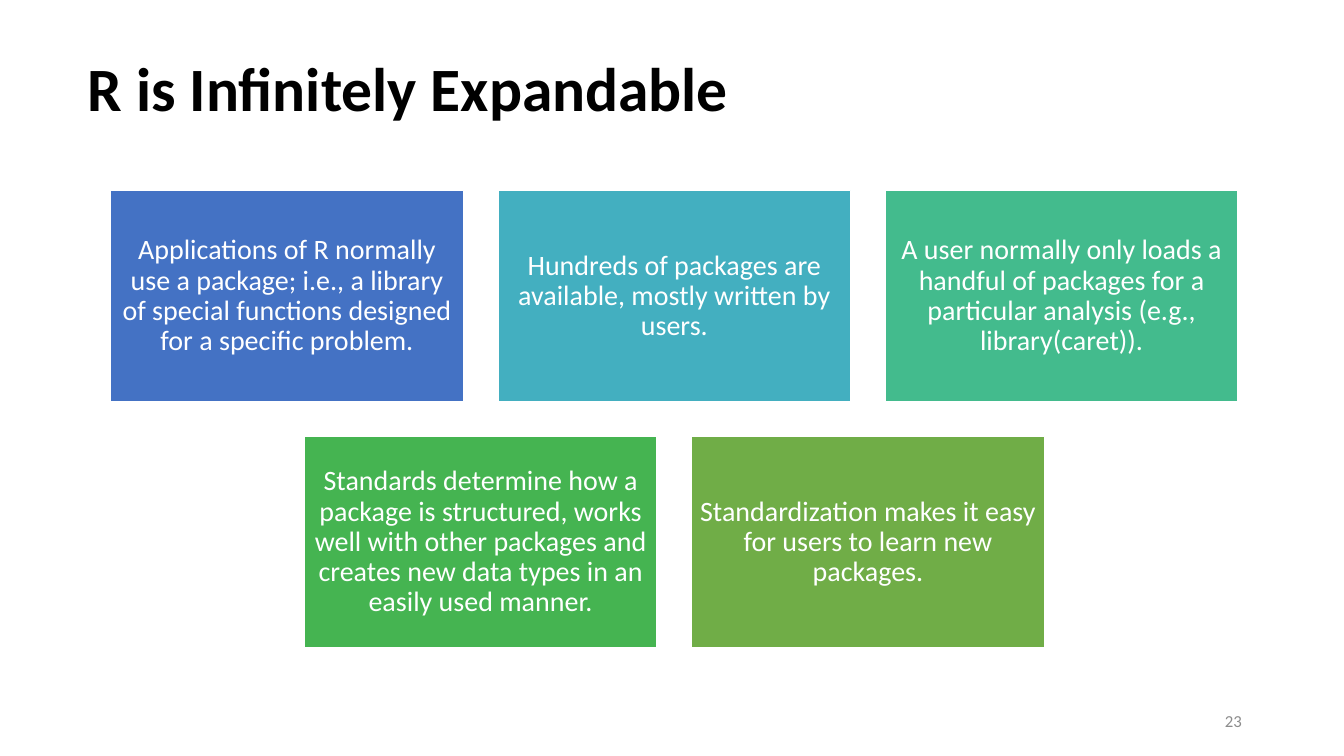
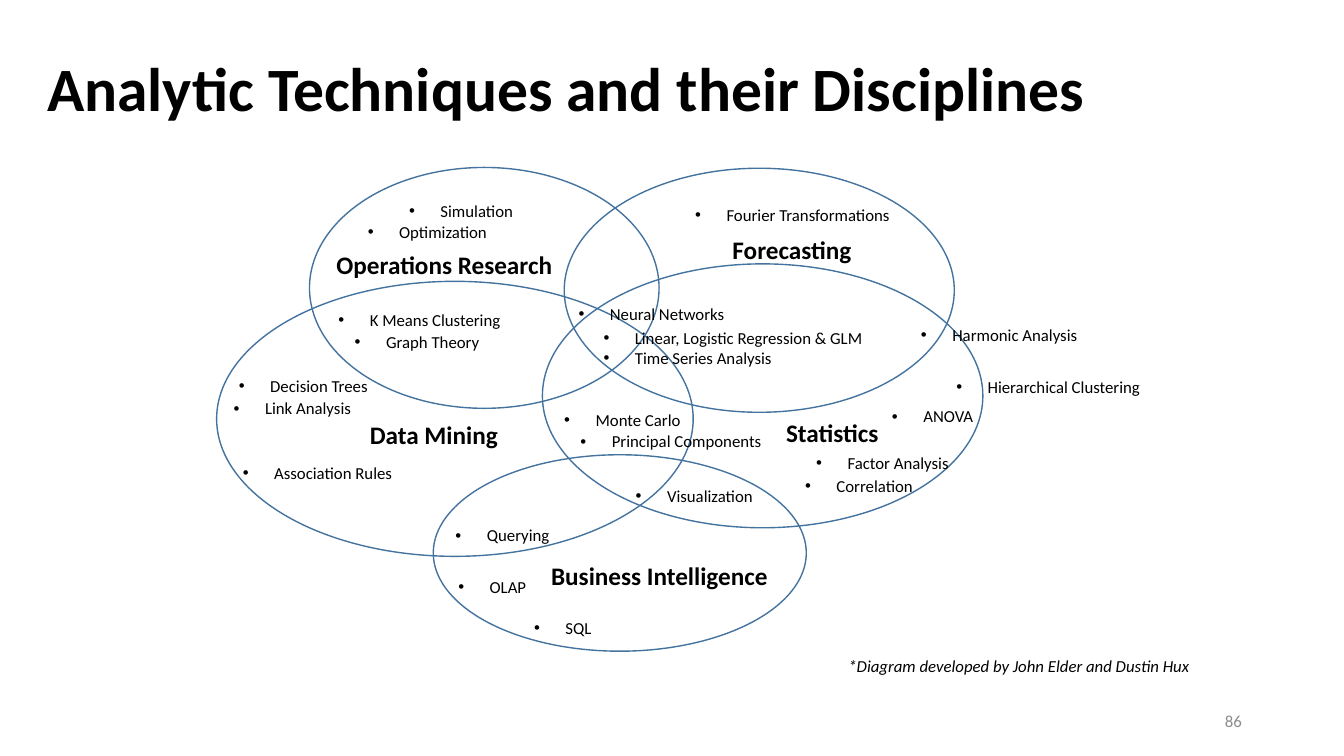
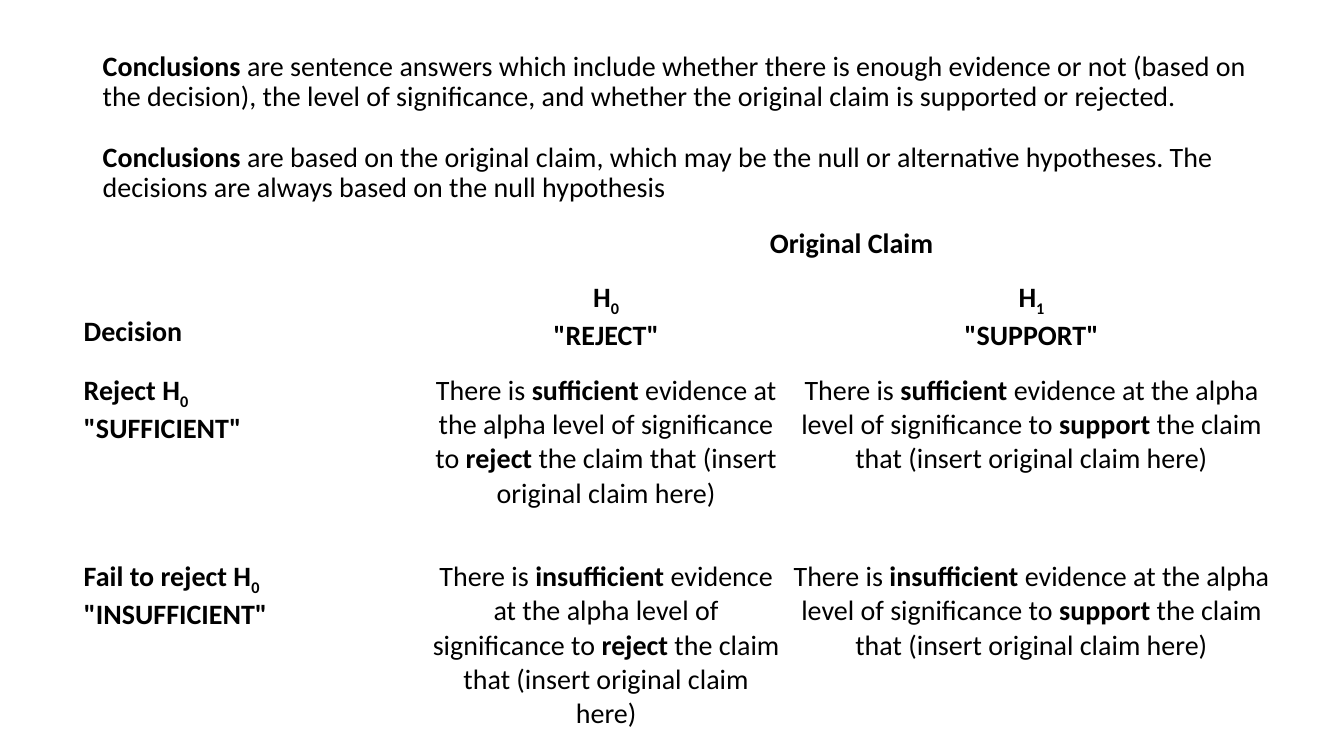
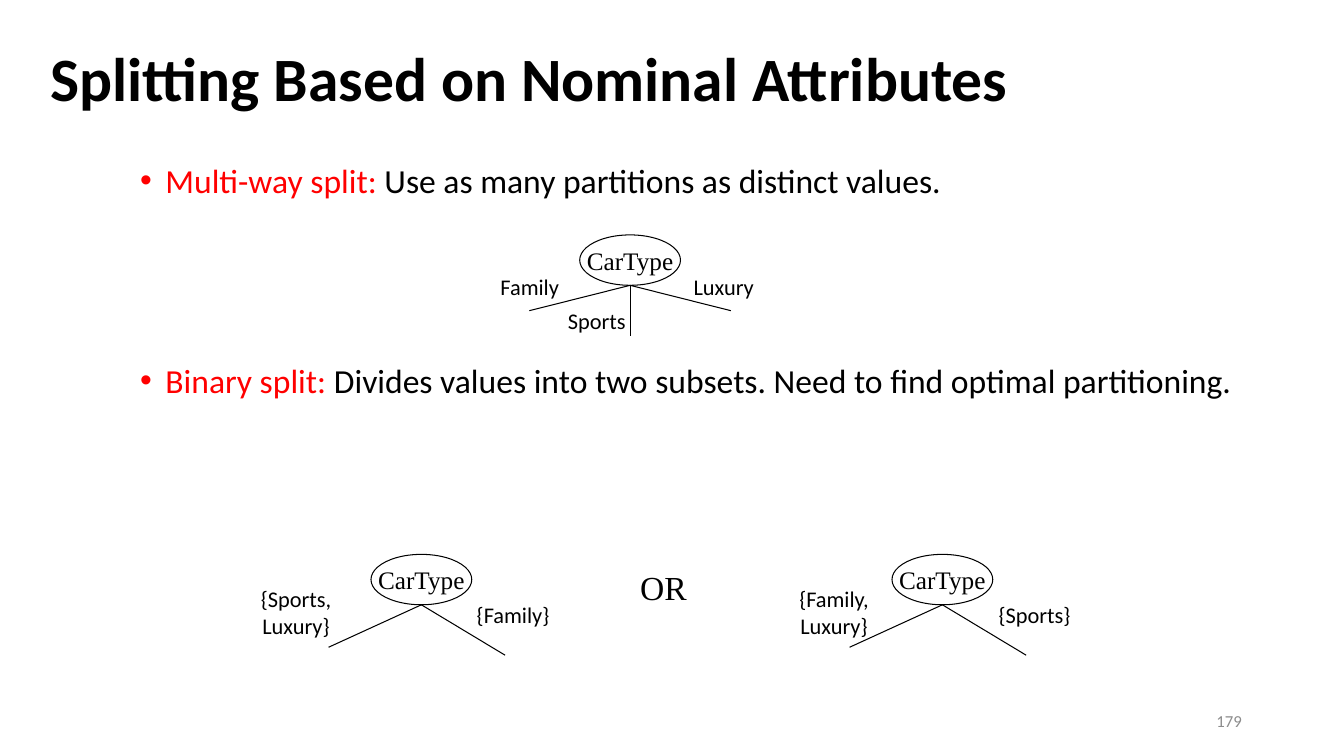
from pptx import Presentation
from pptx.dml.color import RGBColor
from pptx.enum.shapes import MSO_CONNECTOR, MSO_SHAPE
from pptx.enum.text import MSO_ANCHOR, MSO_AUTO_SIZE, PP_ALIGN
from pptx.oxml.ns import qn
from pptx.util import Cm, Pt
from lxml.etree import SubElement

COLORS = {
    "black": "000000", "white": "FFFFFF", "gray": "8C8C8C", "red": "FF0000",
    "outline": "43739E", "blue": "4472C4", "teal": "43AFC0",
    "mint": "43BB8D", "green": "45B451", "olive": "70AD47",
}
SANS, SERIF = "Calibri", "Times New Roman"
CENTER, RIGHT = PP_ALIGN.CENTER, PP_ALIGN.RIGHT
MIDDLE = MSO_ANCHOR.MIDDLE
BOLD, REGULAR, RED = {"bold": True}, {"bold": False}, {"color": "red"}

# Every place is left, top, width, height in centimetres.
PAGE_NUMBER_PLACE = (23.93, 17.65, 7.62, 1.02)

CARD_WIDTH, CARD_HEIGHT, CARD_GAP = 8.89, 5.33, 0.87
CARDS_LEFT, CARDS_TOP = 2.79, 4.8
CARD_ROWS = [
    [("blue", "Applications of R normally use a package; i.e., a library of special "
              "functions designed for a specific problem."),
     ("teal", "Hundreds of packages are available, mostly written by users."),
     ("mint", "A user normally only loads a handful of packages for a particular "
              "analysis (e.g., library(caret)).")],
    [("green", "Standards determine how a package is structured, works well with other "
               "packages and creates new data types in an easily used manner."),
     ("olive", "Standardization makes it easy for users to learn new packages.")],
]

# Name, place of the oval, then left, top and width of the name
DISCIPLINES = [
    ("Data Mining", (5.46, 7.09, 12.01, 6.93), (9.07, 10.44, 3.76)),
    ("Statistics", (13.67, 6.65, 11.1, 6.65), (19.56, 10.39, 2.87)),
    ("Forecasting", (14.22, 4.24, 9.83, 6.15), (18.21, 5.79, 3.53)),
    ("Operations Research", (7.8, 4.22, 8.81, 6.07), (8.23, 6.17, 5.99)),
    ("Business Intelligence", (10.92, 11.46, 9.4, 4.95), (13.64, 14, 5.99)),
]
TECHNIQUES = [
    ("Simulation", 10.06, 4.93, 4.45),
    ("Fourier Transformations", 17.27, 5.03, 5.94),
    ("Optimization", 9.02, 5.46, 4.88),
    ("Association Rules", 5.87, 11.53, 4.65),
    ("K Means Clustering", 8.28, 7.67, 5.56),
    ("Monte Carlo", 13.97, 10.21, 4.17),
    ("Decision Trees", 5.77, 9.35, 4.39),
    ("Principal Components", 14.38, 10.74, 5.79),
    ("Neural Networks", 14.33, 7.52, 4.75),
    ("Hierarchical Clustering", 23.85, 9.37, 5.21),
    ("Factor Analysis", 20.32, 11.28, 4.22),
    ("Link Analysis", 5.64, 9.91, 3.81),
    ("ANOVA", 22.23, 10.11, 3.07),
    ("Correlation", 20.04, 11.86, 3.89),
    ("Linear, Logistic Regression & GLM", 14.96, 8.13, 7.65),
    ("Time Series Analysis", 14.96, 8.64, 5.18),
    ("Visualization", 15.77, 12.12, 4.75),
    ("SQL", 13.21, 15.44, 2.36),
    ("Querying", 11.23, 13.11, 2.9),
    ("OLAP", 11.3, 14.4, 2.54),
    ("Graph Theory", 8.69, 8.23, 4.45),
    ("Harmonic Analysis", 22.96, 8.05, 5.38),
]
CREDIT = "*Diagram developed by John Elder and Dustin Hux"

CONCLUSIONS = [
    [("Conclusions", BOLD),
     " are sentence answers which include whether there is enough evidence or not (based on "
     "the decision), the level of significance, and whether the original claim is supported "
     "or rejected."],
    [("Conclusions", BOLD),
     " are based on the original claim, which may be the null or alternative hypotheses. "
     "The decisions are always based on the null hypothesis"],
]
COLUMN_WIDTHS = (8.76, 9.07, 12.37)
ROW_HEIGHTS = (1.35, 2.34, 4.7, 4.7)
CLAIMS = [("0", "reject"), ("1", "support")]
DECISIONS = [("Reject H", "sufficient"), ("Fail to reject H", "insufficient")]

SPLITS = [
    [("Multi-way split:", RED), " Use as many partitions as distinct values."],
    [("Binary split:", RED),
     " Divides values into two subsets. Need to find optimal partitioning."],
]
OVAL_WIDTH, OVAL_HEIGHT = 2.54, 1.27
LABEL_WIDTH, LABEL_LINE = 2.4, 0.69
BINARY_BRANCHES = [(-2.34, 1.07), (2.11, 1.27)]
# Branch ends and labels (lines, centre, top) are measured from the foot of the oval.
TREES = [
    {"place": (14.61, 5.92), "branches": [(-2.54, 0.64), (0, 1.27), (2.54, 0.64)],
     "labels": [(["Family"], -2.53, -0.43), (["Sports"], -0.84, 0.43),
                (["Luxury"], 2.36, -0.43)]},
    {"place": (22.48, 13.97), "branches": BINARY_BRANCHES,
     "labels": [(["{Family,", "Luxury}"], -2.73, -0.64), (["{Sports}"], 2.32, -0.23)]},
    {"place": (9.35, 13.97), "branches": BINARY_BRANCHES,
     "labels": [(["{Sports,", "Luxury}"], -3.16, -0.64), (["{Family}"], 2.31, -0.23)]},
]


def rgb(color):
    return RGBColor.from_string(COLORS[color])


def write(frame, text, size=20, color="black", font=SANS, bold=False, italic=False,
          align=None, line_spacing=None, gap=0, bullet_indent=None):
    """Fill a frame with a string or a list of paragraphs.

    A paragraph is a string or a list of runs; a run is a string or a pair of
    a string and the format that differs. The gap parts the paragraphs.
    """
    for index, runs in enumerate([text] if isinstance(text, str) else text):
        paragraph = frame.add_paragraph() if index else frame.paragraphs[0]
        paragraph.alignment = align
        if line_spacing:
            paragraph.line_spacing = line_spacing
        if index and gap:
            paragraph.space_before = Pt(gap)
        if bullet_indent:
            properties = paragraph._p.get_or_add_pPr()
            properties.set("marL", str(Cm(bullet_indent)))
            properties.set("indent", str(-Cm(bullet_indent)))
            SubElement(properties, qn("a:buFont"), typeface="Arial")
            SubElement(properties, qn("a:buChar"), char="•")
        for item in [runs] if isinstance(runs, str) else runs:
            words, change = (item, {}) if isinstance(item, str) else item
            run = paragraph.add_run()
            run.text = words
            run.font.name = font
            run.font.size = Pt(size)
            run.font.bold = change.get("bold", bold)
            run.font.italic = italic
            run.font.color.rgb = rgb(change.get("color", color))
            if "baseline" in change:
                run.font._element.set("baseline", str(change["baseline"]))


def add_text(slide, place, text, anchor=MSO_ANCHOR.TOP, wrap=True, grow=False, **style):
    frame = slide.shapes.add_textbox(*map(Cm, place)).text_frame
    frame.word_wrap = wrap
    frame.vertical_anchor = anchor
    if grow:
        frame.auto_size = MSO_AUTO_SIZE.SHAPE_TO_FIT_TEXT
    write(frame, text, **style)


def add_shape(slide, preset, place, fill=None, line="black", line_width=1):
    shape = slide.shapes.add_shape(preset, *map(Cm, place))
    shape.shadow.inherit = False
    if fill:
        shape.fill.solid()
        shape.fill.fore_color.rgb = rgb(fill)
    else:
        shape.fill.background()
    shape.line.color.rgb = rgb(line)
    shape.line.width = Pt(line_width)
    return shape


def add_line(slide, start, end):
    line = slide.shapes.add_connector(MSO_CONNECTOR.STRAIGHT, *map(Cm, (*start, *end)))
    line.line.color.rgb = rgb("black")
    line.line.width = Pt(0.75)
    SubElement(line._element.spPr, qn("a:effectLst"))


def add_slide(presentation, number, title=None, title_place=None):
    """Add a blank slide with its page number and title."""
    slide = presentation.slides.add_slide(presentation.slide_layouts[6])
    if title:
        add_text(slide, title_place, title, anchor=MIDDLE, size=44, bold=True,
                 line_spacing=0.9)
    add_text(slide, PAGE_NUMBER_PLACE, str(number), anchor=MIDDLE, size=12,
             color="gray", align=RIGHT)
    return slide


def build_packages(presentation):
    slide = add_slide(presentation, 23, "R is Infinitely Expandable",
                      (1.96, 1.17, 29.21, 2.29))
    step = CARD_WIDTH + CARD_GAP
    for row, cards in enumerate(CARD_ROWS):
        row_left = CARDS_LEFT + (len(CARD_ROWS[0]) - len(cards)) * step / 2
        top = CARDS_TOP + row * (CARD_HEIGHT + CARD_GAP)
        for column, (fill, text) in enumerate(cards):
            place = (row_left + column * step, top, CARD_WIDTH, CARD_HEIGHT)
            card = add_shape(slide, MSO_SHAPE.RECTANGLE, place, fill, "white")
            frame = card.text_frame
            frame.word_wrap = True
            frame.vertical_anchor = MIDDLE
            frame.margin_left = frame.margin_right = Cm(0.2)
            frame.margin_top = frame.margin_bottom = Cm(0.2)
            write(frame, text, color="white", align=CENTER, line_spacing=0.9)


def build_disciplines(presentation):
    slide = add_slide(presentation, 86, "Analytic Techniques and their Disciplines",
                      (0.94, 0.46, 29.21, 3.68))
    for name, oval_place, name_place in DISCIPLINES:
        add_shape(slide, MSO_SHAPE.OVAL, oval_place, line="outline")
        add_text(slide, (*name_place, 1.02), name, wrap=False, grow=True, size=18, bold=True)
    for name, *place in TECHNIQUES:
        add_text(slide, (*place, 0.76), name, grow=True, size=12, bullet_indent=0.79)
    add_text(slide, (21.13, 16.41, 9.8, 0.76), CREDIT, grow=True, size=12, italic=True)


def build_conclusions(presentation):
    slide = add_slide(presentation, 152)
    add_text(slide, (2.34, 0.99, 30.2, 4.47), CONCLUSIONS, anchor=MIDDLE,
             line_spacing=0.9, gap=22)
    place = (1.98, 5.59, sum(COLUMN_WIDTHS), sum(ROW_HEIGHTS))
    table = slide.shapes.add_table(len(ROW_HEIGHTS), len(COLUMN_WIDTHS),
                                   *map(Cm, place)).table
    table.first_row = table.horz_banding = False
    for column, width in zip(table.columns, COLUMN_WIDTHS):
        column.width = Cm(width)
    for row, height in zip(table.rows, ROW_HEIGHTS):
        row.height = Cm(height)
    for cell in table.iter_cells():
        cell.fill.solid()
        cell.fill.fore_color.rgb = rgb("white")
        cell.margin_left = cell.margin_right = Cm(0.13)
        cell.margin_top = cell.margin_bottom = Cm(0.13)

    def heading(row, column, text, align=None):
        write(table.cell(row, column).text_frame, text, bold=True, align=align)

    def subscript(digit):
        return digit, {"bold": True, "baseline": -25000}

    table.cell(0, 1).merge(table.cell(0, 2))
    heading(0, 1, "Original Claim", CENTER)
    heading(1, 0, "Decision")
    table.cell(1, 0).margin_top = Cm(0.99)
    for column, (digit, verb) in enumerate(CLAIMS, 1):
        heading(1, column, [["H", subscript(digit)], f'"{verb.upper()}"'], CENTER)
    for row, (decision, amount) in enumerate(DECISIONS, 2):
        heading(row, 0, [[decision, subscript("0")], f'"{amount.upper()}"'])
        for column, (_, verb) in enumerate(CLAIMS, 1):
            sentence = ["There is ", (amount, BOLD),
                        " evidence at the alpha level of significance to ", (verb, BOLD),
                        " the claim that (insert original claim here)"]
            write(table.cell(row, column).text_frame, [sentence], align=CENTER)


def add_tree(slide, place, branches, labels):
    left, top = place
    foot_x, foot_y = left + OVAL_WIDTH / 2, top + OVAL_HEIGHT
    oval = add_shape(slide, MSO_SHAPE.OVAL, (left, top, OVAL_WIDTH, OVAL_HEIGHT),
                     "white", line_width=0.75)
    oval.text_frame.word_wrap = False
    oval.text_frame.vertical_anchor = MIDDLE
    write(oval.text_frame, "CarType", size=18, font=SERIF, align=CENTER)
    for across, down in branches:
        add_line(slide, (foot_x, foot_y), (foot_x + across, foot_y + down))
    for lines, center, down in labels:
        label_place = (foot_x + center - LABEL_WIDTH / 2, foot_y + down,
                       LABEL_WIDTH, 0.25 + LABEL_LINE * len(lines))
        add_text(slide, label_place, lines, anchor=MIDDLE, wrap=False, grow=True,
                 size=16, align=CENTER)


def build_splits(presentation):
    slide = add_slide(presentation, 179, "Splitting Based on Nominal Attributes",
                      (1.02, 1.04, 28.9, 2.03))
    add_text(slide, (3.28, 4.01, 28.27, 10.36), SPLITS, size=24, line_spacing=0.9,
             gap=117, bullet_indent=0.64)
    for tree in TREES:
        add_tree(slide, **tree)
    add_text(slide, (15.88, 14.17, 1.68, 1.27), "OR", anchor=MIDDLE, wrap=False,
             grow=True, size=24, font=SERIF, align=CENTER)


def main():
    presentation = Presentation()
    presentation.slide_width, presentation.slide_height = Cm(33.87), Cm(19.05)
    build_packages(presentation)
    build_disciplines(presentation)
    build_conclusions(presentation)
    build_splits(presentation)
    presentation.save("out.pptx")


if __name__ == "__main__":
    main()
